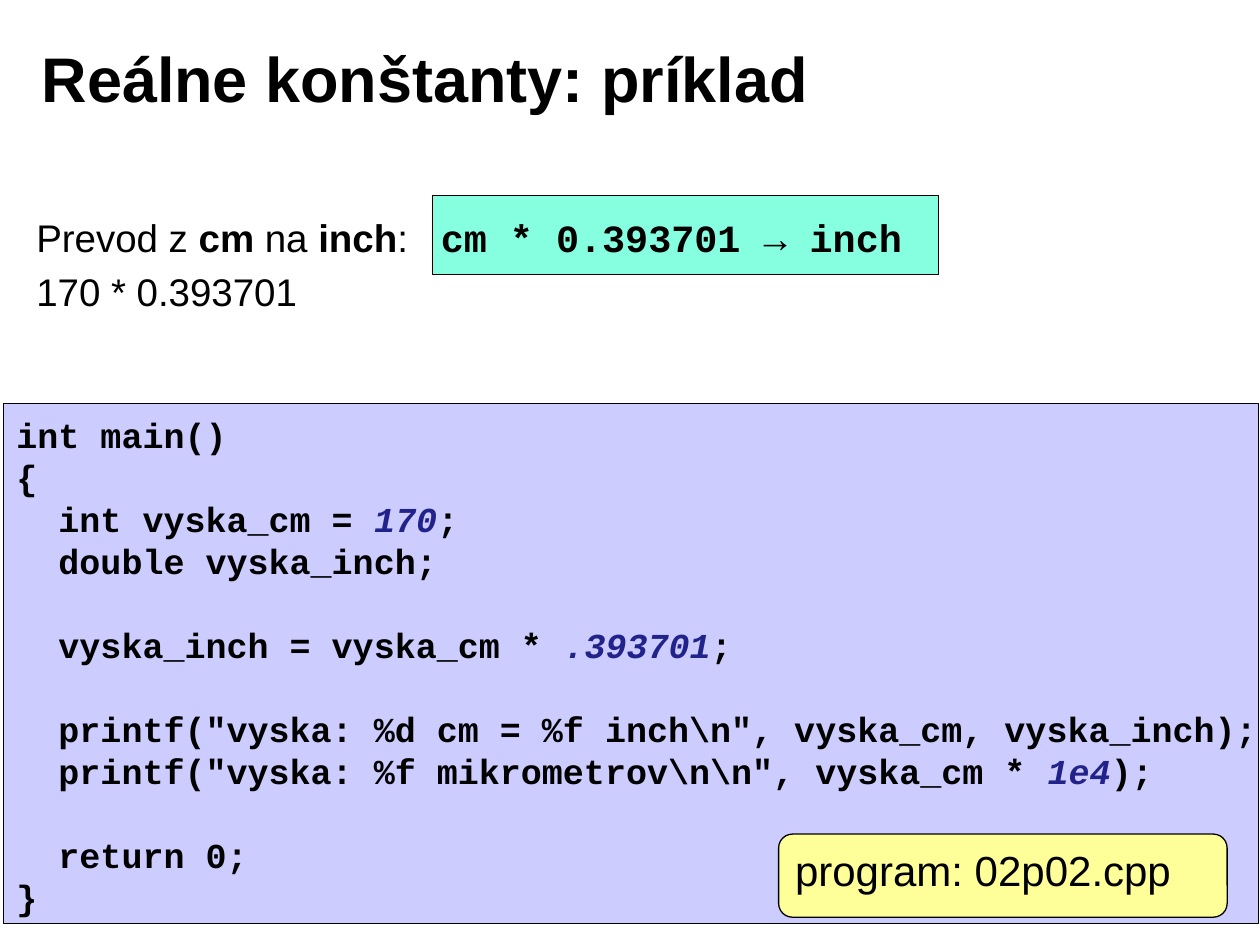
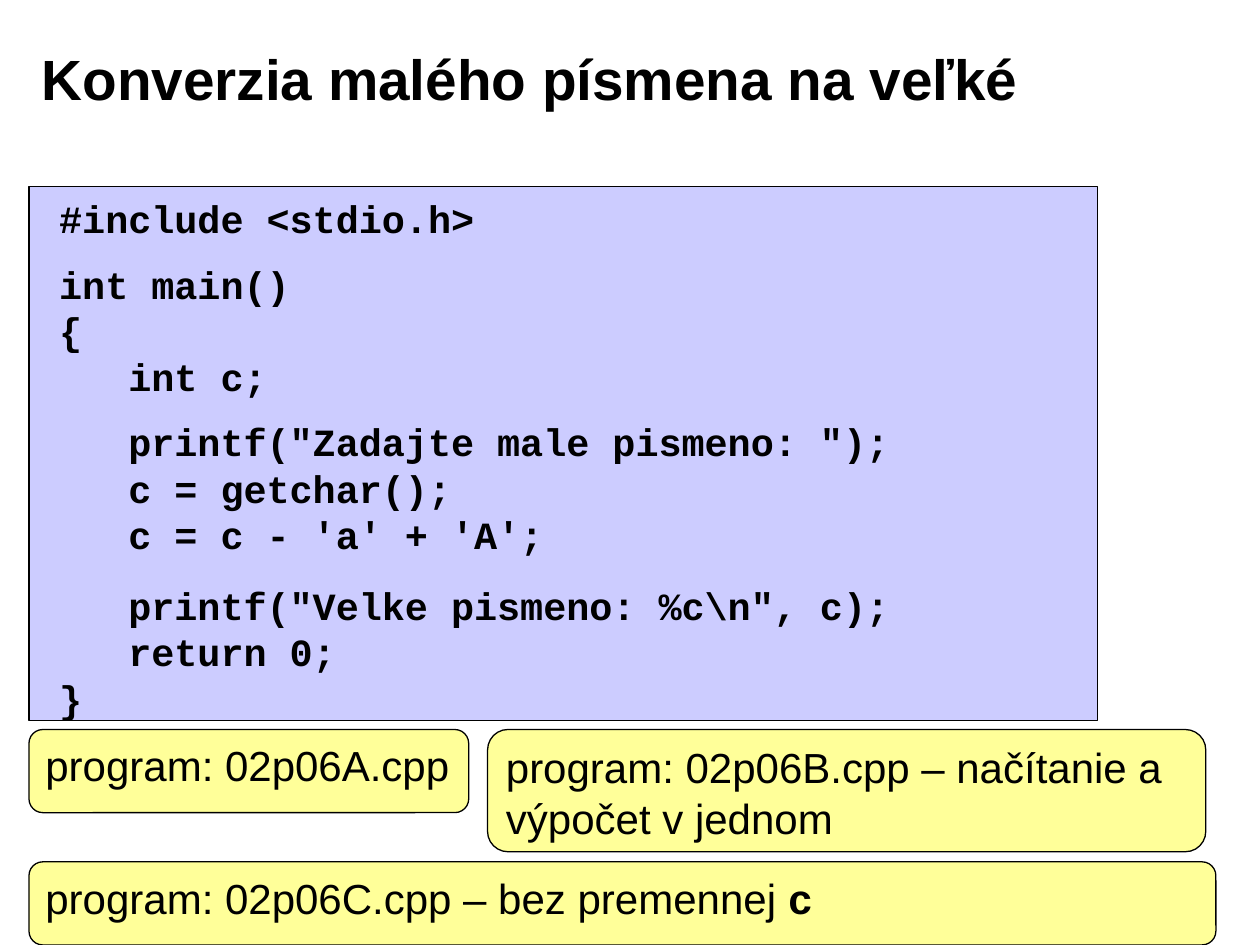
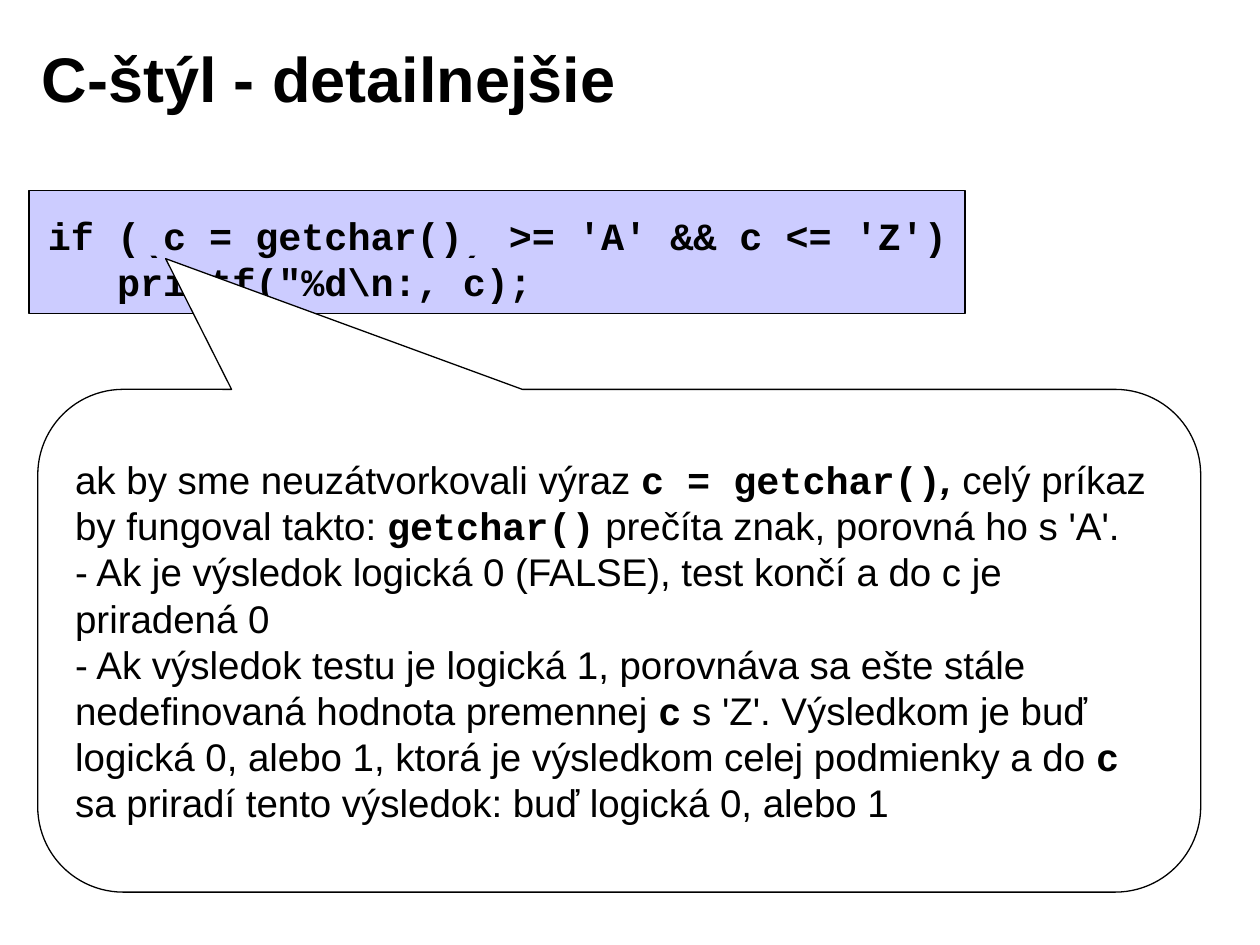
import pptx
import pptx.util
import pptx.dml.color
import pptx.enum.shapes
import pptx.enum.text
import pptx.oxml
import pptx.oxml.ns

Inches, Pt = pptx.util.Inches, pptx.util.Pt
RGB = pptx.dml.color.RGBColor.from_string
SHAPE = pptx.enum.shapes.MSO_SHAPE
ANCHOR = pptx.enum.text.MSO_ANCHOR
LEFT = pptx.enum.text.PP_ALIGN.LEFT

# Theme: colours, sizes and run styles
THEME = {
    "ink": "000000", "literal": "22228B", "code_fill": "CCCCFF",
    "formula_fill": "85FFE0", "label_fill": "FFFF99", "white": "FFFFFF",
    "title": 36, "title_small": 32.4, "label": 24, "body": 22, "code_small": 20,
    "leading": 1.2, "line": 0.75,
}
STYLES = {
    "text": {"name": "Arial", "bold": False, "italic": False},
    "strong": {"name": "Arial", "bold": True, "italic": False},
    "slanted": {"name": "Arial", "bold": True, "italic": True},
    "code": {"name": "Courier New", "bold": True, "italic": False},
    "literal": {"name": "Courier New", "bold": True, "italic": True},
}


def write(tf, lines, size, style="text", gaps=None, leading=THEME["leading"]):
    """Fill a frame; a line is a string or a list of (text, style) runs."""
    tf.word_wrap = True
    for i, line in enumerate(lines):
        p = tf.paragraphs[0] if i == 0 else tf.add_paragraph()
        p.alignment = LEFT
        p.line_spacing = Pt(size * leading)
        p.space_before = Pt((gaps or {}).get(i, 0))
        for text, key in [(line, style)] if isinstance(line, str) else line:
            r = p.add_run()
            r.text = text
            for name, value in STYLES[key].items():
                setattr(r.font, name, value)
            r.font.size = Pt(size)
            r.font.color.rgb = RGB(THEME["literal" if key == "literal" else "ink"])


def add_box(s, kind, at, fill, outlined=True):
    sp = s.shapes.add_shape(kind, *map(Inches, at))
    sp.shadow.inherit = False
    sp.fill.solid()
    sp.fill.fore_color.rgb = RGB(THEME[fill])
    if outlined:
        sp.line.color.rgb = RGB(THEME["ink"])
        sp.line.width = Pt(THEME["line"])
    else:
        sp.line.fill.background()
    return sp


prs = pptx.Presentation()
prs.slide_width, prs.slide_height = Inches(10), Inches(7.5)

# Slide titles
slides = []
for title, size in [
    ("Reálne konštanty: príklad", THEME["title"]),
    ("Konverzia malého písmena na veľké", THEME["title_small"]),
    ("C-štýl - detailnejšie", THEME["title"]),
]:
    s = prs.slides.add_slide(prs.slide_layouts[5])
    sp = s.shapes.title
    sp.left, sp.top, sp.width, sp.height = map(Inches, (0.23, 0.15, 8.03, 0.93))
    sp.text_frame.vertical_anchor = ANCHOR.MIDDLE
    write(sp.text_frame, [title], size, "strong")
    slides.append(s)
constants, conversion, c_style = slides

# Conversion formula
add_box(constants, SHAPE.RECTANGLE, (3.43, 1.55, 4.02, 0.63), "formula_fill")
tf = constants.shapes.add_textbox(*map(Inches, (0.19, 1.62, 9.61, 1.1))).text_frame
tf.margin_top = Inches(0.08)
write(tf, [
    [("Prevod z ", "text"), ("cm ", "strong"), ("na ", "text"), ("inch", "strong"),
     (":\t", "text"), ("cm * 0.393701 → inch", "code")],
    "170 * 0.393701",
], THEME["body"], gaps={1: 4.4})
pPr = tf.paragraphs[0]._p.get_or_add_pPr()
tabs = pptx.oxml.parse_xml(
    f'<a:tabLst {pptx.oxml.ns.nsdecls("a")}><a:tab pos="{Inches(3.21)}" algn="l"/></a:tabLst>')
pPr.append(tabs)

# Code panels: slide, panel, text place, size, space before lines, lines
inch_code = [
    "int main()",
    "{",
    [("  int vyska_cm = ", "code"), ("170", "literal"), (";", "code")],
    "  double vyska_inch;",
    [("  vyska_inch = vyska_cm * ", "code"), (".393701", "literal"), (";", "code")],
    r'  printf("vyska: %d cm = %f inch\n", vyska_cm, vyska_inch);',
    [(r'  printf("vyska: %f mikrometrov\n\n", vyska_cm * ', "code"),
     ("1e4", "literal"), (");", "code")],
    "  return 0;",
    "}",
]
letter_code = [
    "#include <stdio.h>",
    "int main()",
    "{",
    "   int c;",
    '   printf("Zadajte male pismeno: ");',
    "   c = getchar();",
    "   c = c - 'a' + 'A';",
    r'   printf("Velke pismeno: %c\n", c);',
    "   return 0;",
    "}",
]
test_code = [
    "if ((c = getchar()) >= 'A' && c <= 'Z')",
    r'   printf("%d\n:, c);',
]
for s, panel, place, size, gaps, lines in [
    (constants, (0.03, 3.2, 9.96, 4.13), (0.04, 3.2, 10.28, 4.13),
     THEME["code_small"], {4: 24, 5: 24, 7: 24}, inch_code),
    (conversion, (0.23, 1.48, 8.48, 4.24), (0.38, 1.47, 6.87, 4.4),
     THEME["body"], {1: 11, 4: 11, 7: 14.4}, letter_code),
    (c_style, (0.23, 1.51, 7.43, 0.98), (0.29, 1.6, 7.43, 0.83),
     THEME["body"], {}, test_code),
]:
    add_box(s, SHAPE.RECTANGLE, panel, "code_fill")
    tf = s.shapes.add_textbox(*map(Inches, place)).text_frame
    tf.margin_left = tf.margin_right = Inches(0.09)
    tf.margin_top = Inches(0.08)
    write(tf, lines, size, "code", gaps)

# Program labels
for s, at, line in [
    (constants, (6.18, 6.62, 3.56, 0.66), "program: 02p02.cpp"),
    (conversion, (0.23, 6.84, 9.42, 0.66),
     [("program: 02p06C.cpp – bez premennej ", "text"), ("c", "code")]),
    (conversion, (0.23, 5.79, 3.49, 0.66), "program: 02p06A.cpp"),
    (conversion, (3.87, 5.79, 5.7, 0.97),
     "program: 02p06B.cpp – načítanie a výpočet v jednom"),
]:
    sp = add_box(s, SHAPE.ROUNDED_RECTANGLE, at, "label_fill")
    sp.text_frame.vertical_anchor = ANCHOR.TOP
    write(sp.text_frame, [line], THEME["label"])

# Covers over the outer brackets of the assignment
for left in (1.14, 3.66):
    add_box(c_style, SHAPE.RECTANGLE, (left, 1.58, 0.15, 0.45), "code_fill", outlined=False)

# Explanation callout
callout = add_box(c_style, SHAPE.ROUNDED_RECTANGULAR_CALLOUT, (0.3, 3.09, 9.23, 3.99), "white")
for i, value in enumerate((-0.39, -0.76, 0.17)):
    callout.adjustments[i] = value
callout.text_frame.vertical_anchor = ANCHOR.MIDDLE
write(callout.text_frame, [
    [("ak by sme neuzátvorkovali výraz ", "text"), ("c = getchar()", "code"),
     (", ", "slanted"), ("celý príkaz by fungoval takto: ", "text"),
     ("getchar()", "code"), (" prečíta znak, porovná ho s 'A'.", "text")],
    "- Ak je výsledok logická 0 (FALSE), test končí a do c je priradená 0",
    [("- Ak výsledok testu je logická 1, porovnáva sa ešte stále nedefinovaná "
      "hodnota premennej ", "text"), ("c", "code"),
     (" s 'Z'. Výsledkom je buď logická 0, alebo 1, ktorá je výsledkom celej "
      "podmienky a do ", "text"), ("c", "code"),
     (" sa priradí tento výsledok: buď logická 0, alebo 1", "text")],
], THEME["body"])

prs.save("out.pptx")
